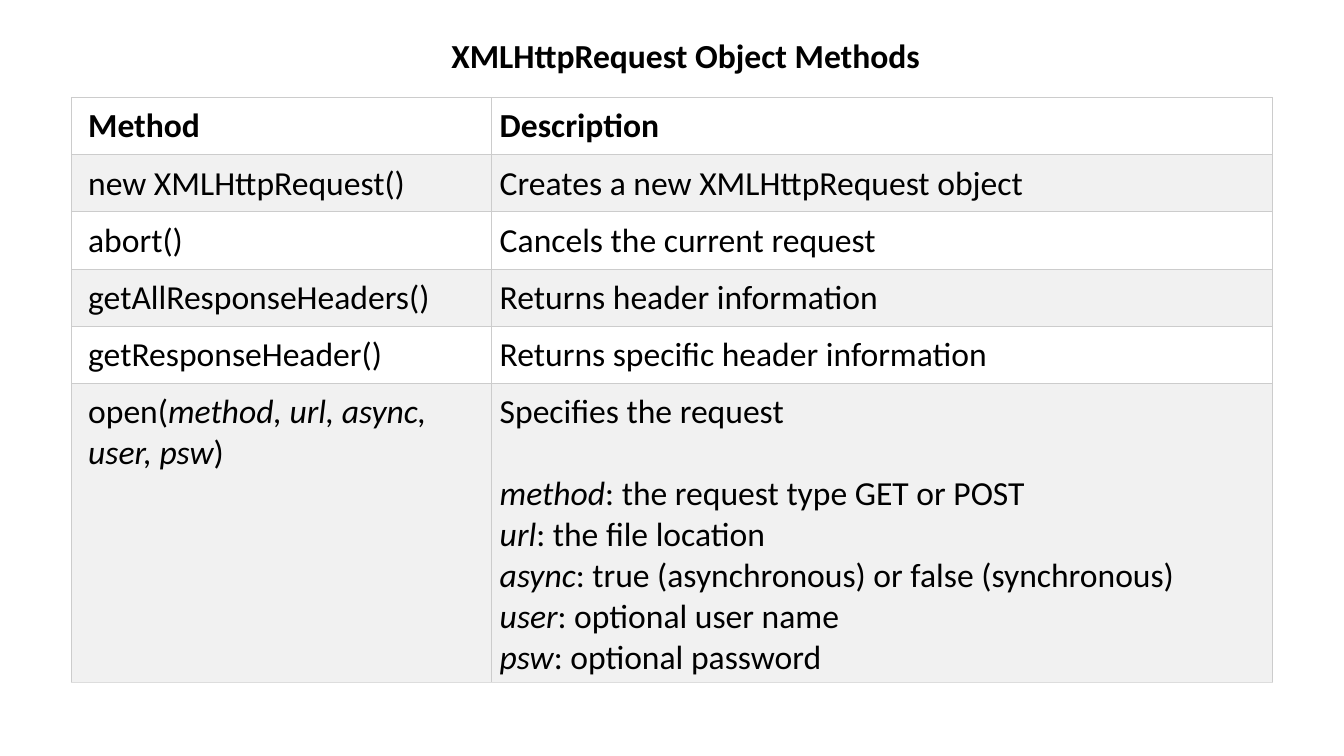
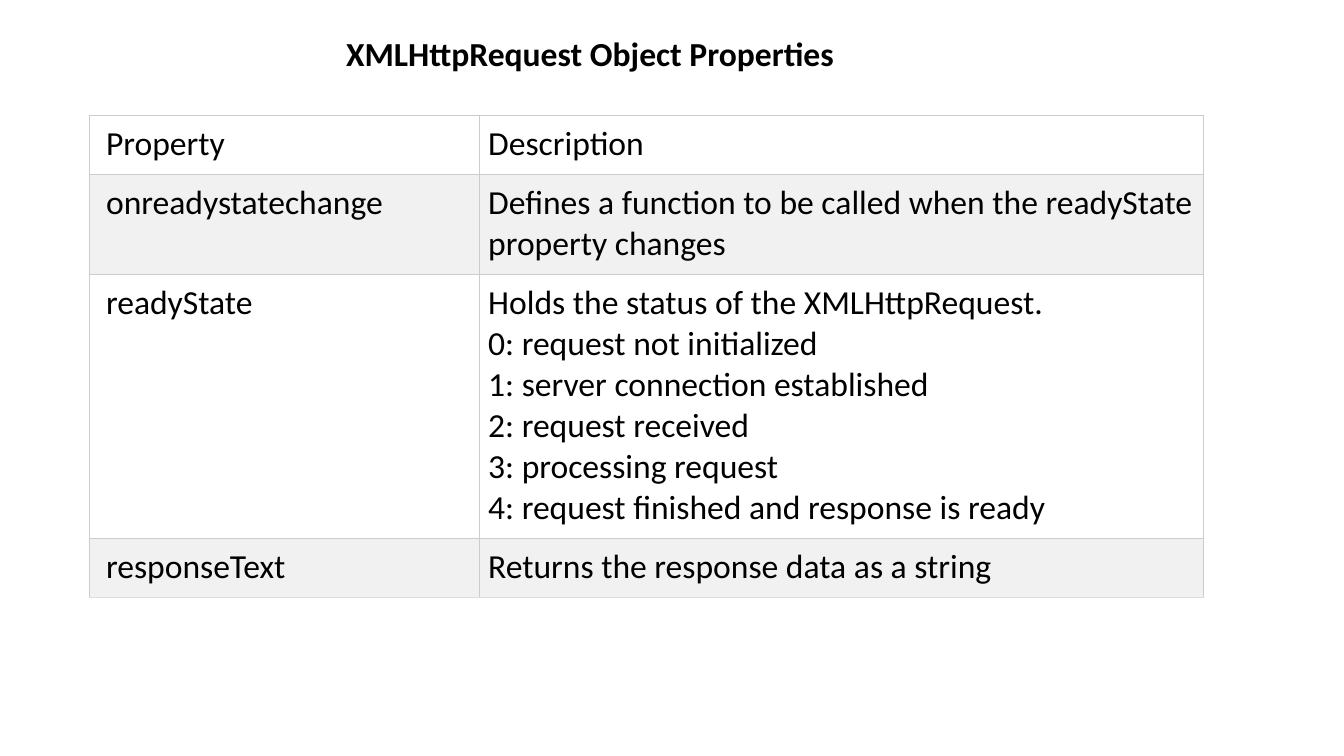
import dataclasses

import lxml.etree
import pptx
import pptx.dml.color
import pptx.enum.text
import pptx.oxml.ns
import pptx.util

EMU_PER_PX = 9525
COLORS = {
    "text": "000000",
    "row": "FFFFFF",
    "row_alt": "F1F1F1",
    "border": "CCCCCC",
    "border_bottom": "DDDDDD",
}
FONT = "Calibri"
TEXT_PT = 24
BORDER_PT = 0.75
PARAGRAPH_GAP_PT = 29
CELL_MARGIN = 8
FIRST_COLUMN_MARGIN = 16
TITLE_SIZE = (640, 48)
ALIGN = pptx.enum.text.PP_ALIGN


@dataclasses.dataclass(frozen=True)
class Row:
    """One table row; *stars* mark italics, and an empty line marks a wider gap."""
    height: int
    term: str
    description: str


@dataclasses.dataclass(frozen=True)
class ReferenceSlide:
    title: str
    title_at: tuple[int, int]
    title_align: ALIGN
    table_at: tuple[int, int]
    table_height: int
    columns: tuple[int, int]
    bold_header: bool
    rows: tuple[Row, ...]


METHODS = ReferenceSlide(
    title="XMLHttpRequest Object Methods",
    title_at=(333, 28),
    title_align=ALIGN.CENTER,
    table_at=(68, 93),
    table_height=557,
    columns=(400, 744),
    bold_header=True,
    rows=(
        Row(51, "Method", "Description"),
        Row(51, "new XMLHttpRequest()", "Creates a new XMLHttpRequest object"),
        Row(51, "abort()", "Cancels the current request"),
        Row(51, "getAllResponseHeaders()", "Returns header information"),
        Row(51, "getResponseHeader()", "Returns specific header information"),
        Row(249, "open(*method, url, async, user, psw*)",
            "Specifies the request\n\n"
            "*method*: the request type GET or POST\n"
            "*url*: the file location\n"
            "*async*: true (asynchronous) or false (synchronous)\n"
            "*user*: optional user name\n"
            "*psw*: optional password"),
    ),
)

PROPERTIES = ReferenceSlide(
    title="XMLHttpRequest Object Properties",
    title_at=(320, 27),
    title_align=ALIGN.LEFT,
    table_at=(85, 110),
    table_height=459,
    columns=(372, 689),
    bold_header=False,
    rows=(
        Row(56, "Property", "Description"),
        Row(95, "onreadystatechange",
            "Defines a function to be called when the readyState property changes"),
        Row(252, "readyState",
            "Holds the status of the XMLHttpRequest.\n"
            "0: request not initialized\n"
            "1: server connection established\n"
            "2: request received\n"
            "3: processing request\n"
            "4: request finished and response is ready"),
        Row(56, "responseText", "Returns the response data as a string"),
    ),
)


def px(length: int) -> pptx.util.Emu:
    return pptx.util.Emu(length * EMU_PER_PX)


def write_text(frame: pptx.text.text.TextFrame, text: str, *, bold: bool = False,
               align: ALIGN = ALIGN.LEFT) -> None:
    """Write each line as a paragraph; an empty line becomes space before the next."""
    frame.word_wrap = True
    for block_index, block in enumerate(text.split("\n\n")):
        for line_index, line in enumerate(block.split("\n")):
            is_first = block_index == line_index == 0
            paragraph = frame.paragraphs[0] if is_first else frame.add_paragraph()
            paragraph.alignment = align
            opens_block = block_index > 0 and line_index == 0
            paragraph.space_before = pptx.util.Pt(PARAGRAPH_GAP_PT if opens_block else 0)
            for part_index, part in enumerate(line.split("*")):
                if not part:
                    continue
                run = paragraph.add_run()
                run.text = part
                run.font.name = FONT
                run.font.size = pptx.util.Pt(TEXT_PT)
                run.font.bold = bold
                run.font.italic = part_index % 2 == 1
                run.font.color.rgb = pptx.dml.color.RGBColor.from_string(COLORS["text"])


def add_borders(cell: pptx.table._Cell, *, bottom: str) -> None:
    """Add the four cell borders; call before the fill, which must follow them in XML."""
    qn = pptx.oxml.ns.qn
    properties = cell._tc.get_or_add_tcPr()
    sides = {"L": COLORS["border"], "R": COLORS["border"],
             "T": COLORS["border"], "B": bottom}
    for side, color in sides.items():
        line = lxml.etree.SubElement(properties, qn(f"a:ln{side}"),
                                     w=str(pptx.util.Pt(BORDER_PT)))
        fill = lxml.etree.SubElement(line, qn("a:solidFill"))
        lxml.etree.SubElement(fill, qn("a:srgbClr"), val=color)


def format_cell(cell: pptx.table._Cell, *, fill: str, left: int, bottom: str) -> None:
    cell.margin_left = px(left)
    cell.margin_top = cell.margin_right = cell.margin_bottom = px(CELL_MARGIN)
    cell.vertical_anchor = pptx.enum.text.MSO_ANCHOR.TOP
    add_borders(cell, bottom=bottom)
    cell.fill.solid()
    cell.fill.fore_color.rgb = pptx.dml.color.RGBColor.from_string(fill)


def add_title(slide: pptx.slide.Slide, content: ReferenceSlide) -> None:
    title = slide.shapes.title
    title.left, title.top = map(px, content.title_at)
    title.width, title.height = map(px, TITLE_SIZE)
    title.text_frame.vertical_anchor = pptx.enum.text.MSO_ANCHOR.TOP
    title.text_frame.auto_size = pptx.enum.text.MSO_AUTO_SIZE.SHAPE_TO_FIT_TEXT
    write_text(title.text_frame, content.title, bold=True, align=content.title_align)


def add_reference_table(slide: pptx.slide.Slide, content: ReferenceSlide) -> None:
    left, top = map(px, content.table_at)
    graphic = slide.shapes.add_table(len(content.rows), len(content.columns), left, top,
                                     px(sum(content.columns)), px(content.table_height))
    table = graphic.table
    table.first_row = table.horz_banding = False
    for column, width in zip(table.columns, content.columns):
        column.width = px(width)
    last_row = len(content.rows) - 1
    for row_index, row in enumerate(content.rows):
        table.rows[row_index].height = px(row.height)
        for column_index, text in enumerate((row.term, row.description)):
            cell = table.cell(row_index, column_index)
            format_cell(
                cell,
                fill=COLORS["row_alt" if row_index % 2 else "row"],
                left=CELL_MARGIN if column_index else FIRST_COLUMN_MARGIN,
                bottom=COLORS["border_bottom" if row_index == last_row else "border"],
            )
            write_text(cell.text_frame, text, bold=content.bold_header and row_index == 0)
    graphic.height = px(content.table_height)


def main() -> None:
    presentation = pptx.Presentation()
    presentation.slide_width, presentation.slide_height = px(1280), px(720)
    title_only = presentation.slide_layouts.get_by_name("Title Only")
    for content in (METHODS, PROPERTIES):
        slide = presentation.slides.add_slide(title_only)
        add_title(slide, content)
        add_reference_table(slide, content)
    presentation.save("out.pptx")


if __name__ == "__main__":
    main()
